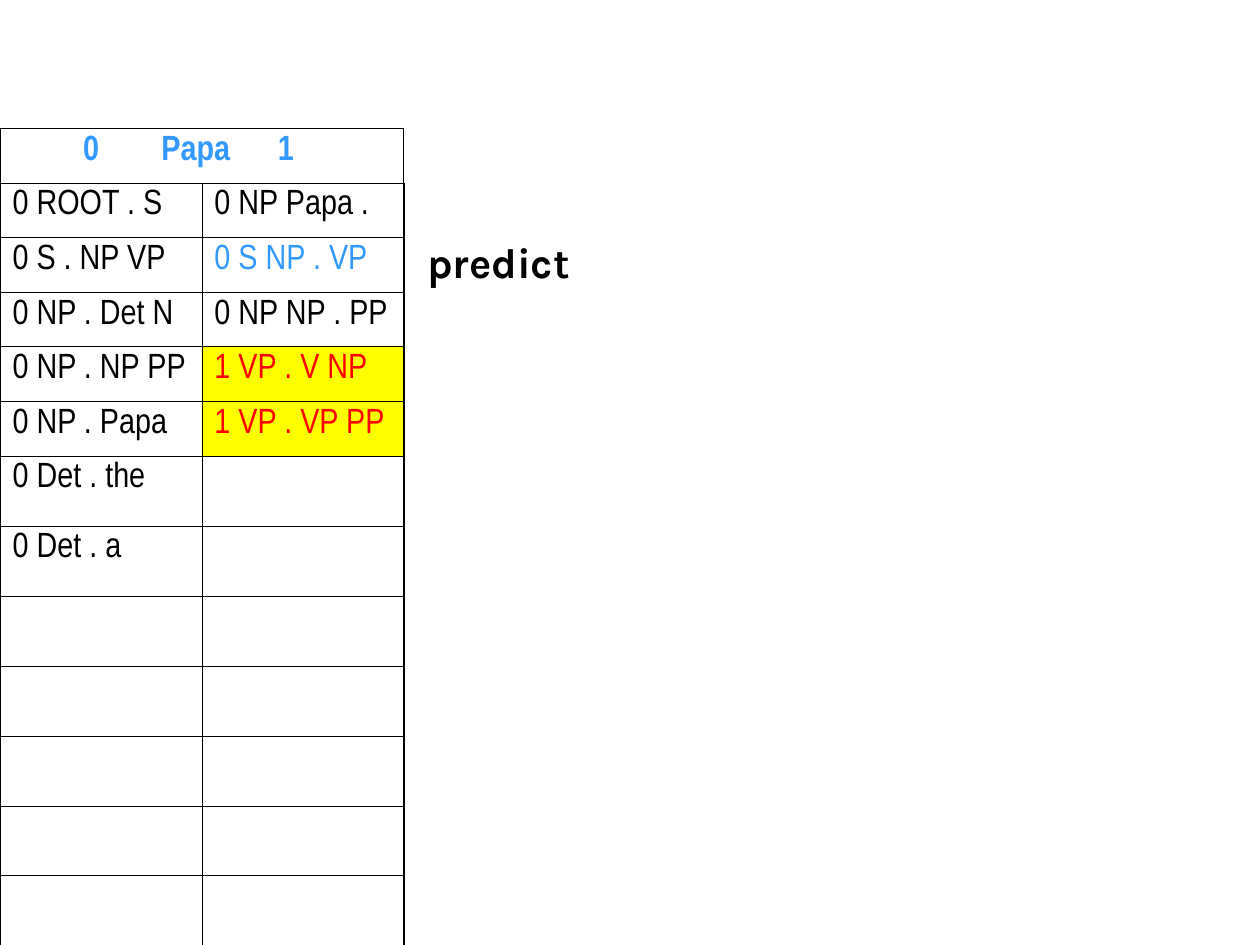
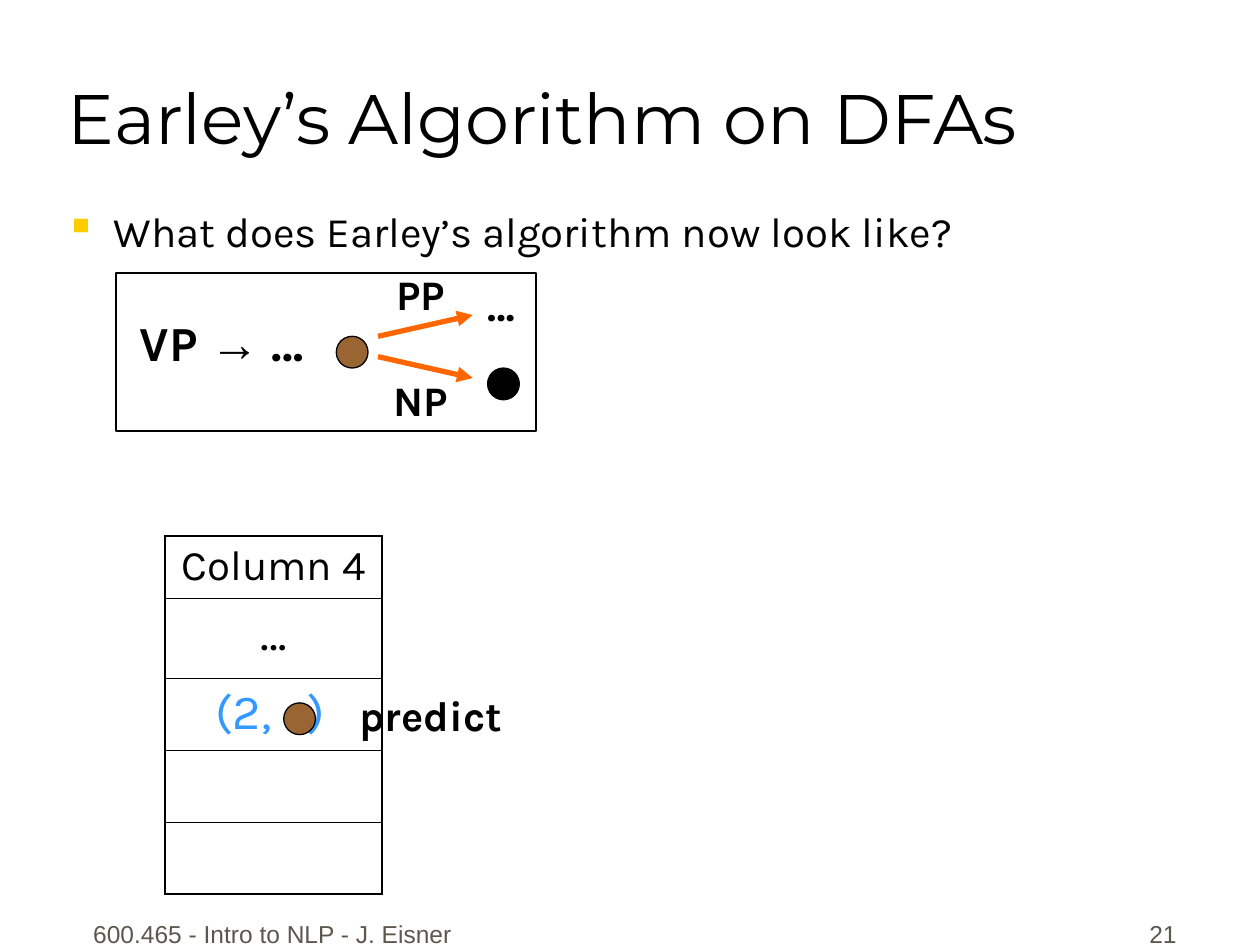
"""Build two slides on Earley's algorithm: a chart of items and its DFA version."""
from typing import NamedTuple

from lxml import etree
from pptx import Presentation
from pptx.dml.color import RGBColor
from pptx.enum.shapes import MSO_CONNECTOR, MSO_SHAPE
from pptx.enum.text import MSO_ANCHOR, MSO_AUTO_SIZE, PP_ALIGN
from pptx.oxml.ns import qn
from pptx.util import Cm, Pt

BLACK = RGBColor(0x00, 0x00, 0x00)
BLUE = RGBColor(0x33, 0x99, 0xFF)
RED = RGBColor(0xFF, 0x00, 0x00)
YELLOW = RGBColor(0xFF, 0xFF, 0x00)
BROWN = RGBColor(0x99, 0x66, 0x33)
ORANGE = RGBColor(0xFF, 0x66, 0x00)
GOLD = RGBColor(0xFF, 0xCC, 0x00)
GREY = RGBColor(0x5E, 0x57, 0x4E)

BODY_FONT = "Karla"
TITLE_FONT = "Montserrat"
NARROW_FONT = "Arial Narrow"
PLAIN_FONT = "Arial"

LEFT, CENTER, RIGHT = PP_ALIGN.LEFT, PP_ALIGN.CENTER, PP_ALIGN.RIGHT
TOP, BOTTOM = MSO_ANCHOR.TOP, MSO_ANCHOR.BOTTOM
FIT_SHAPE = MSO_AUTO_SIZE.SHAPE_TO_FIT_TEXT
RECTANGLE, OVAL = MSO_SHAPE.RECTANGLE, MSO_SHAPE.OVAL
STRAIGHT = MSO_CONNECTOR.STRAIGHT

OUTER_BORDER, INNER_BORDER = 1.08, 0.45
EMPTY_CELL_SIZE = 28
STATE_DIAMETER = 0.64


class Box(NamedTuple):
    """A rectangle in centimetres."""
    left: float
    top: float
    width: float
    height: float

    def lengths(self) -> tuple:
        """Return the four values as lengths."""
        return tuple(Cm(value) for value in self)


class Entry(NamedTuple):
    """The text of one table cell and its format."""
    text: str = ""
    color: RGBColor = BLACK
    size: int = 20
    font: str = NARROW_FONT
    bold: bool = False
    align: PP_ALIGN = LEFT
    tabs: tuple = ()


class Label(NamedTuple):
    """A bold label that sits on one line."""
    text: str
    box: Box
    align: PP_ALIGN = CENTER


class Arrow(NamedTuple):
    """A transition arrow between two points in centimetres."""
    start: tuple
    end: tuple


class State(NamedTuple):
    """A DFA state drawn as a filled circle."""
    left: float
    top: float
    color: RGBColor


PREDICT_SIZE = (3.53, 1.27)
ITEM_LEFT, ITEM_TOP, ITEM_WIDTH, ITEM_HEIGHT = 0, 2.59, 4.07, 1.1
ITEM_ROWS = 15
PREDICTED_ROWS = (4, 5)
COLUMN_ZERO = ["0 ROOT . S", "0 S . NP VP", "0 NP . Det N", "0 NP . NP PP",
               "0 NP . Papa", "0 Det . the", "0 Det . a"]
COLUMN_ONE = [("0 NP Papa .", BLACK), ("0 S NP . VP", BLUE), ("0 NP NP . PP", BLACK),
              ("1 VP . V NP", RED), ("1 VP . VP PP", RED)]

STATES = [State(6.78, 6.78, BROWN), State(9.83, 7.42, BLACK), State(5.72, 14.17, BROWN)]
ARROWS = [Arrow((7.62, 6.78), (9.53, 6.35)), Arrow((7.62, 7.19), (9.53, 7.62))]
LABELS = [Label("PP", Box(7.7, 5.28, 1.57, 1.27)),
          Label("NP", Box(7.62, 7.42, 1.73, 1.27)),
          Label("…", Box(9.5, 5.51, 1.22, 1.27)),
          Label("predict", Box(6.99, 13.77, *PREDICT_SIZE), LEFT)]


def write(frame, text: str, *, size: float = 24, font: str = BODY_FONT,
          color: RGBColor = BLACK, bold: bool = False, align: PP_ALIGN = LEFT,
          tabs: tuple = ()) -> None:
    """Append formatted text to the first paragraph of a frame."""
    paragraph = frame.paragraphs[0]
    paragraph.alignment = align
    if tabs:
        stops = etree.SubElement(paragraph._p.get_or_add_pPr(), qn("a:tabLst"))
        for stop in tabs:
            etree.SubElement(stops, qn("a:tab"), pos=str(Cm(stop)), algn="l")
    run = paragraph.add_run()
    run.text = text
    run.font.size = Pt(size)
    run.font.name = font
    run.font.bold = bold
    run.font.color.rgb = color


def add_frame(slide, box: Box, anchor: MSO_ANCHOR = TOP, one_line: bool = False):
    """Add a text box and return its text frame."""
    frame = slide.shapes.add_textbox(*box.lengths()).text_frame
    frame.word_wrap = not one_line
    frame.vertical_anchor = anchor
    if one_line:
        frame.auto_size = FIT_SHAPE
    return frame


def add_label(slide, label: Label) -> None:
    """Draw one bold label."""
    write(add_frame(slide, label.box, one_line=True), label.text, bold=True, align=label.align)


def add_figure(slide, preset: MSO_SHAPE, box: Box, fill: RGBColor | None = None,
               line_width: float = 0) -> None:
    """Draw a preset shape with an optional fill and black outline."""
    figure = slide.shapes.add_shape(preset, *box.lengths())
    figure.shadow.inherit = False
    if fill is None:
        figure.fill.background()
    else:
        figure.fill.solid()
        figure.fill.fore_color.rgb = fill
    if line_width:
        figure.line.color.rgb = BLACK
        figure.line.width = Pt(line_width)
    else:
        figure.line.fill.background()


def add_arrow(slide, arrow: Arrow) -> None:
    """Draw one transition arrow."""
    points = (Cm(value) for value in (*arrow.start, *arrow.end))
    transition = slide.shapes.add_connector(STRAIGHT, *points)
    transition.line.color.rgb = ORANGE
    transition.line.width = Pt(3)
    etree.SubElement(transition.line._get_or_add_ln(), qn("a:tailEnd"), type="triangle")
    etree.SubElement(transition._element.spPr, qn("a:effectLst"))


def set_borders(cell, outer: dict[str, bool]) -> None:
    """Draw the four borders of a cell, thicker where they are outer."""
    properties = cell._tc.get_or_add_tcPr()
    for side, is_outer in outer.items():
        width = Pt(OUTER_BORDER if is_outer else INNER_BORDER)
        border = etree.SubElement(properties, qn(f"a:ln{side}"), w=str(width))
        paint = etree.SubElement(border, qn("a:solidFill"))
        etree.SubElement(paint, qn("a:srgbClr"), val=str(BLACK))


def add_grid(slide, left: float, top: float, widths: list[float], heights: list[float],
             entries: dict[tuple[int, int], Entry]):
    """Draw a bordered table without fill and return it."""
    box = Box(left, top, sum(widths), sum(heights))
    grid = slide.shapes.add_table(len(heights), len(widths), *box.lengths()).table
    grid.first_row = grid.horz_banding = False
    for column, width in zip(grid.columns, widths):
        column.width = Cm(width)
    for r, height in enumerate(heights):
        grid.rows[r].height = Cm(height)
        for c in range(len(widths)):
            cell = grid.cell(r, c)
            set_borders(cell, {"L": c == 0, "R": c == len(widths) - 1,
                               "T": r == 0, "B": r == len(heights) - 1})
            cell.fill.background()
            if (r, c) in entries:
                write(cell.text_frame, **entries[r, c]._asdict())
            else:
                ending = etree.SubElement(cell.text_frame.paragraphs[0]._p,
                                          qn("a:endParaRPr"), sz=str(EMPTY_CELL_SIZE * 100))
                etree.SubElement(ending, qn("a:latin"), typeface=BODY_FONT)
    return grid


def build_item_chart(slide) -> None:
    """Draw the chart of dotted items after reading Papa."""
    for row in PREDICTED_ROWS:
        add_figure(slide, RECTANGLE, Box(ITEM_WIDTH, ITEM_TOP + row * ITEM_HEIGHT,
                                         ITEM_WIDTH, ITEM_HEIGHT), YELLOW)
    entries = {(0, 0): Entry("\t0\tPapa\t1", BLUE, bold=True, tabs=(1.42, 3.0, 5.35))}
    entries |= {(row, 0): Entry(item) for row, item in enumerate(COLUMN_ZERO, 1)}
    entries |= {(row, 1): Entry(*item) for row, item in enumerate(COLUMN_ONE, 1)}
    grid = add_grid(slide, ITEM_LEFT, ITEM_TOP, [ITEM_WIDTH] * 2,
                    [ITEM_HEIGHT] * ITEM_ROWS, entries)
    grid.cell(0, 0).merge(grid.cell(0, 1))
    add_label(slide, Label("predict", Box(8.36, 4.65, *PREDICT_SIZE), LEFT))


def add_bullet_line(slide, text: str, box: Box) -> None:
    """Write a line with a gold square bullet."""
    frame = add_frame(slide, box)
    properties = frame.paragraphs[0]._p.get_or_add_pPr()
    properties.set("marL", str(Cm(0.97)))
    properties.set("indent", str(-Cm(0.97)))
    tint = etree.SubElement(properties, qn("a:buClr"))
    etree.SubElement(tint, qn("a:srgbClr"), val=str(GOLD))
    etree.SubElement(properties, qn("a:buChar"), char="▪")
    write(frame, text)


def build_dfa_slide(slide) -> None:
    """Draw the DFA for VP and the chart column that points into it."""
    for text, box, align in (
            ("600.465 - Intro to NLP - J. Eisner", Box(1.47, 17.98, 8.05, 1.27), CENTER),
            ("21", Box(18.69, 17.98, 5.28, 1.27), RIGHT)):
        write(add_frame(slide, box, BOTTOM), text, size=14, font=PLAIN_FONT,
              color=GREY, align=align)
    write(add_frame(slide, Box(1.12, 0.15, 21.59, 3.18), BOTTOM),
          "Earley’s Algorithm on DFAs", size=40, font=TITLE_FONT)
    add_bullet_line(slide, "What does Earley’s algorithm now look like?",
                    Box(1.07, 4.01, 22.66, 1.27))
    add_grid(slide, 3.33, 10.8, [4.37], [1.27, 1.6, 1.45, 1.45, 1.45], {
        (0, 0): Entry("Column 4", size=24, font=BODY_FONT, align=CENTER),
        (1, 0): Entry("…", size=28, font=BODY_FONT, align=CENTER),
        (2, 0): Entry("\t(2,\t)", BLUE, 28, BODY_FONT, tabs=(0.76, 2.62)),
    })
    add_figure(slide, RECTANGLE, Box(2.34, 5.51, 8.46, 3.18), line_width=1)
    rule = add_frame(slide, Box(2.57, 6.17, 3.91, 1.45), one_line=True)
    for text, font in (("VP ", BODY_FONT), ("→", PLAIN_FONT), (" …", BODY_FONT)):
        write(rule, text, size=28, font=font, bold=True)
    for state in STATES:
        add_figure(slide, OVAL, Box(state.left, state.top, STATE_DIAMETER, STATE_DIAMETER),
                   state.color, 0.75)
    for arrow in ARROWS:
        add_arrow(slide, arrow)
    for label in LABELS:
        add_label(slide, label)


def main() -> None:
    """Build and save the presentation."""
    deck = Presentation()
    deck.slide_width, deck.slide_height = Cm(25.4), Cm(19.05)
    blank = deck.slide_layouts[6]
    for build in (build_item_chart, build_dfa_slide):
        build(deck.slides.add_slide(blank))
    deck.save("out.pptx")


if __name__ == "__main__":
    main()
